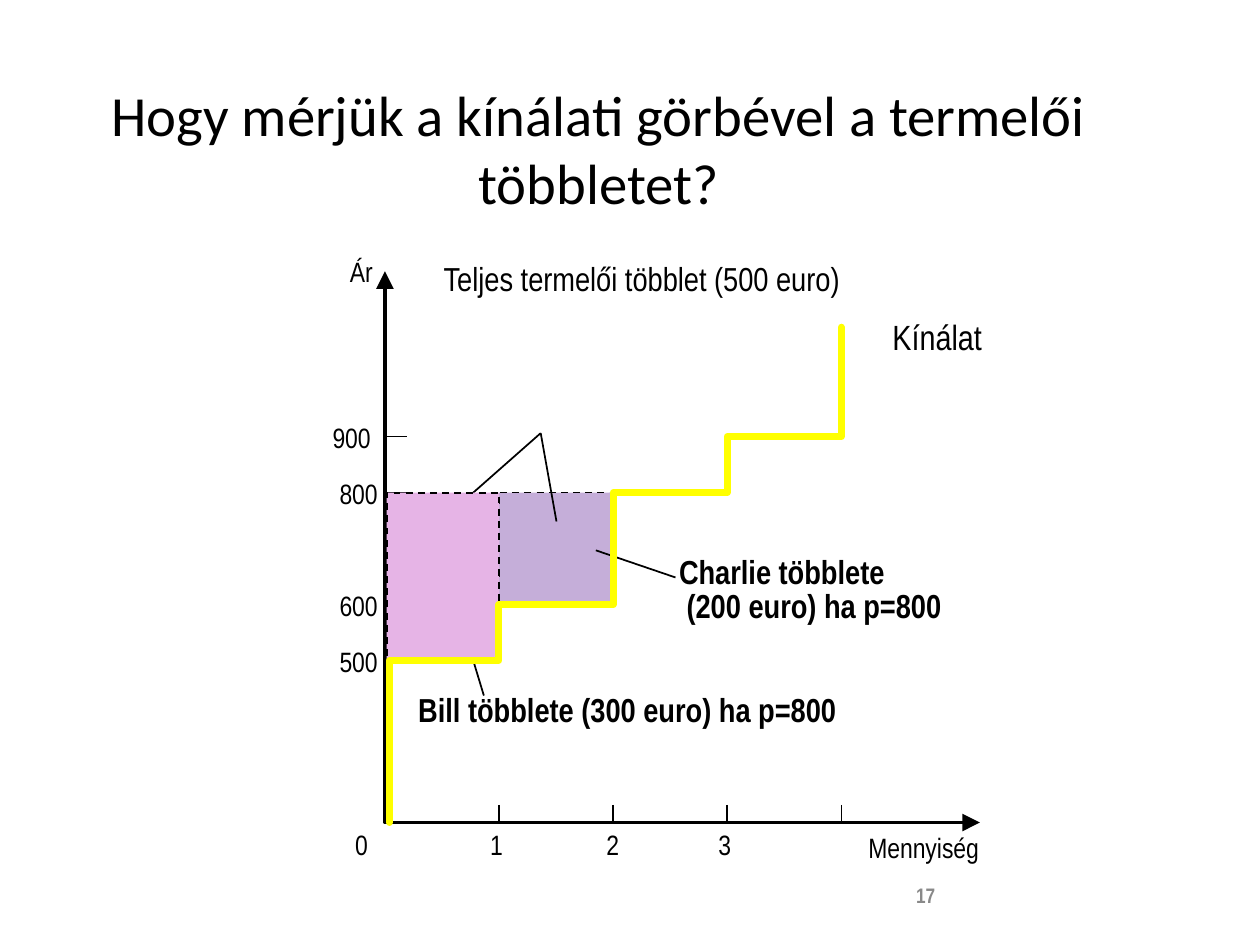
from dataclasses import dataclass

from pptx import Presentation
from pptx.dml.color import RGBColor
from pptx.enum import dml, shapes, text
from pptx.oxml import parse_xml
from pptx.oxml.ns import nsdecls
from pptx.util import Pt


@dataclass(frozen=True)
class Theme:
    black: str = "000000"
    grey: str = "898989"
    pink: str = "E6B4E6"
    violet: str = "C5AED9"
    yellow: str = "FFFF00"
    title_font: str = "Calibri"
    label_font: str = "Arial Narrow"
    title_size: float = 32.4
    curve_size: float = 20
    note_size: float = 19
    axis_size: float = 16
    number_size: float = 12


class Painter:
    """Draws styled elements on one slide, with all lengths in points."""

    def __init__(self, slide, theme):
        self.slide = slide
        self.theme = theme

    def style_runs(self, paragraph, font, size, color, bold=False):
        for run in paragraph.runs:
            run.font.name = font
            run.font.size = Pt(size)
            run.font.bold = bold
            run.font.color.rgb = RGBColor.from_string(color)

    def style_line(self, shape, color, width):
        shape.line.color.rgb = RGBColor.from_string(color)
        shape.line.width = Pt(width)

    def title(self, words, left, top, width, height):
        shape = self.slide.shapes.title
        shape.left, shape.top, shape.width, shape.height = map(Pt, (left, top, width, height))
        frame = shape.text_frame
        frame.text = words
        frame.word_wrap = True
        frame.auto_size = text.MSO_AUTO_SIZE.NONE
        frame.vertical_anchor = text.MSO_ANCHOR.MIDDLE
        paragraph = frame.paragraphs[0]
        paragraph.alignment = text.PP_ALIGN.CENTER
        self.style_runs(paragraph, self.theme.title_font, self.theme.title_size, self.theme.black)

    def label(self, words, left, top, width, height, size, color=None, bold=False,
              align=text.PP_ALIGN.LEFT, spacing=1.0, wrap=False, anchor=text.MSO_ANCHOR.TOP):
        shape = self.slide.shapes.add_textbox(*map(Pt, (left, top, width, height)))
        frame = shape.text_frame
        frame.margin_left = frame.margin_right = frame.margin_top = frame.margin_bottom = 0
        frame.word_wrap = wrap
        frame.vertical_anchor = anchor
        frame.text = words
        for paragraph in frame.paragraphs:
            paragraph.alignment = align
            paragraph.line_spacing = spacing
            self.style_runs(paragraph, self.theme.label_font, size, color or self.theme.black, bold)
        return shape

    def line(self, start, end, width=1):
        shape = self.slide.shapes.add_connector(
            shapes.MSO_CONNECTOR.STRAIGHT, *map(Pt, (*start, *end)))
        self.style_line(shape, self.theme.black, width)
        shape._element.spPr.append(parse_xml(f"<a:effectLst {nsdecls('a')}/>"))

    def surplus(self, left, top, right, bottom, fill):
        shape = self.slide.shapes.add_shape(
            shapes.MSO_SHAPE.RECTANGLE, *map(Pt, (left, top, right - left, bottom - top)))
        shape.shadow.inherit = False
        shape.fill.solid()
        shape.fill.fore_color.rgb = RGBColor.from_string(fill)
        self.style_line(shape, self.theme.black, 1)
        shape.line.dash_style = dml.MSO_LINE.DASH

    def polyline(self, points, color, width, arrows=False):
        points = [(Pt(x), Pt(y)) for x, y in points]
        builder = self.slide.shapes.build_freeform(*points[0])
        builder.add_line_segments(points[1:], close=False)
        shape = builder.convert_to_shape()
        shape.shadow.inherit = False
        shape.fill.background()
        self.style_line(shape, color, width)
        outline = shape._element.spPr.get_or_add_ln()
        if arrows:
            for end in ("headEnd", "tailEnd"):
                outline.append(parse_xml(
                    f'<a:{end} {nsdecls("a")} type="triangle" w="lg" len="lg"/>'))
        else:
            outline.set("cap", "rnd")


def quantity_x(quantity):
    return 220 + 65.2 * quantity


def price_y(price):
    return 377.5 - 0.32 * (price - 500)


def main():
    presentation = Presentation()
    presentation.slide_width, presentation.slide_height = Pt(720), Pt(540)
    theme = Theme()
    painter = Painter(presentation.slides.add_slide(presentation.slide_layouts[5]), theme)
    right = text.PP_ALIGN.RIGHT
    axis_bottom = 470

    painter.title("Hogy mérjük a kínálati görbével a termelői többletet?", 36, 39.5, 612, 90)
    painter.label("17", 523.5, 497, 153, 28.8, theme.number_size, theme.grey, True,
                  anchor=text.MSO_ANCHOR.MIDDLE)

    painter.label("Mennyiség", 489.5, 477.5, 70, 16.5, theme.axis_size, align=right, spacing=0.85)
    painter.label("Ár", 183, 148.5, 30, 16.5, theme.axis_size, align=right, spacing=0.85, wrap=True)
    for price, left in ((500, 194), (600, 194), (800, 194), (900, 190)):
        y = price_y(price)
        painter.line((232.5, y), (220, y))
        painter.label(str(price), left, y - 9, 24, 19.5, theme.axis_size)
    for quantity in range(1, 5):
        x = quantity_x(quantity)
        painter.line((x, 460), (x, axis_bottom))
    for quantity, left in enumerate((203, 280, 346.5, 410.5)):
        painter.label(str(quantity), left, 473, 10, 19.5, theme.axis_size)
    painter.polyline([(220, 155), (220, axis_bottom), (560, axis_bottom)], theme.black, 2, True)

    painter.line((265, 359.5), (276.5, 397.5))
    painter.label("Bill többlete (300 euro) ha p=800", 239, 397.5, 251, 20,
                  theme.note_size, bold=True, spacing=0.85, wrap=True)
    painter.surplus(quantity_x(1), price_y(800), quantity_x(2), price_y(600), theme.violet)
    painter.line((340.5, 314.5), (386, 330))
    charlie = painter.label("Charlie többlete\n(200 euro) ha p=800", 388, 318.5, 156, 39,
                            theme.note_size, bold=True, spacing=0.85)
    charlie.text_frame.paragraphs[1]._p.get_or_add_pPr().set("marL", str(Pt(4.3)))
    for target in ((254, 296), (318, 298)):
        painter.line((309, 247.5), target)
    painter.label("Teljes termelői többlet (500 euro)", 253.5, 151, 237, 19.5,
                  theme.note_size, spacing=0.85, wrap=True)
    painter.surplus(221, price_y(800), quantity_x(1), price_y(500), theme.pink)

    painter.label("Kínálat", 510, 180.5, 56, 24.5, theme.curve_size)
    supply = [(222.5, axis_bottom), (222.5, price_y(500))]
    for quantity, (price, next_y) in enumerate(
            ((500, price_y(600)), (600, price_y(800)), (800, price_y(900)), (900, 187)), 1):
        x = quantity_x(quantity)
        supply += [(x, price_y(price)), (x, next_y)]
    painter.polyline(supply, theme.yellow, 4)

    presentation.save("out.pptx")


if __name__ == "__main__":
    main()
